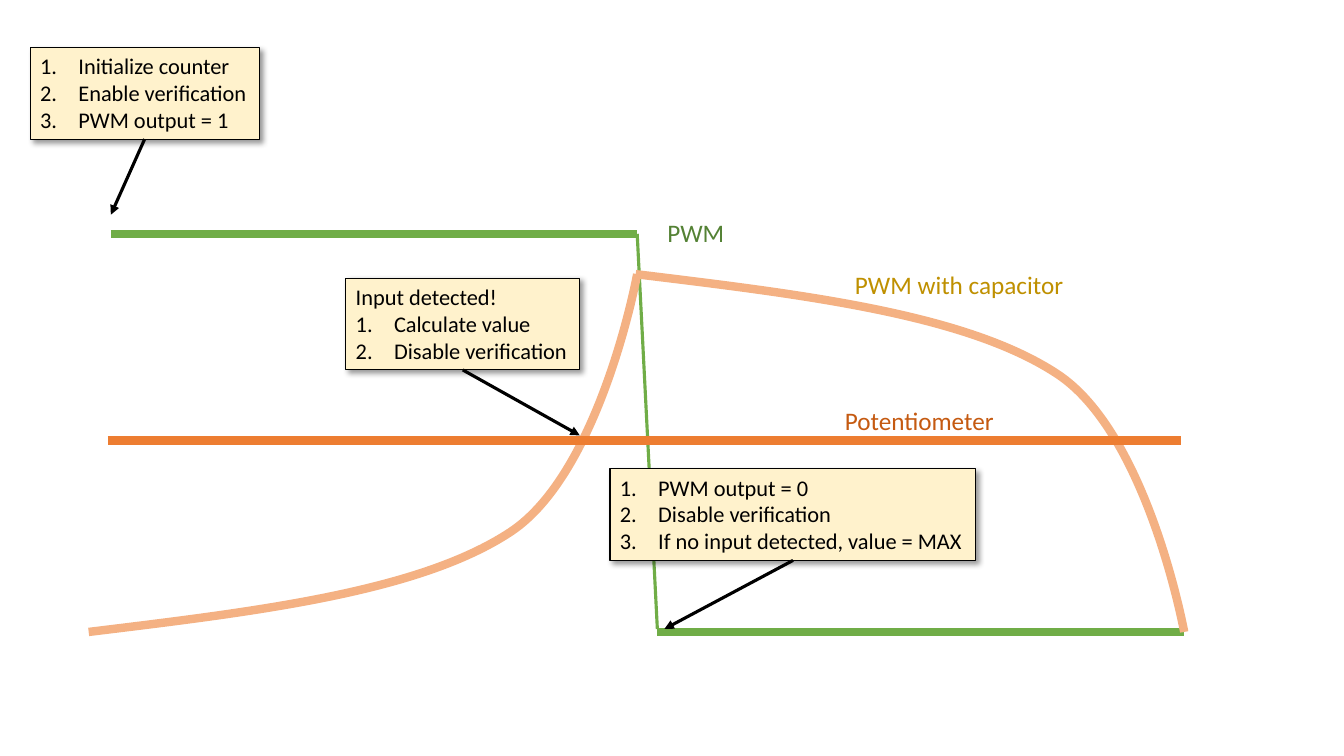
import pptx
import pptx.util
import pptx.dml.color
import pptx.enum.shapes
import pptx.enum.text
import pptx.oxml
import pptx.oxml.ns
import lxml.etree

deck = pptx.Presentation()
deck.slide_width = pptx.util.Inches(13.33)
deck.slide_height = pptx.util.Inches(7.5)
page = deck.slides.add_slide(deck.slide_layouts[6])
qn = pptx.oxml.ns.qn

# Positions are percentages of the slide's width and height
COLUMN = deck.slide_width / 100
ROW = deck.slide_height / 100
RISE, FALL, LOW_START, END = 8.25, 47.41, 48.91, 88.07
HIGH, PEAK, THRESHOLD, LOW = 30.93, 36.27, 58.27, 83.6
INDENT = pptx.util.Inches(0.38)


def color(hex_code):
    return pptx.dml.color.RGBColor.from_string(hex_code)


def add_line(x1, y1, x2, y2, hex_code, width):
    line = page.shapes.add_connector(
        pptx.enum.shapes.MSO_CONNECTOR.STRAIGHT,
        round(x1 * COLUMN), round(y1 * ROW), round(x2 * COLUMN), round(y2 * ROW))
    line.line.color.rgb = color(hex_code)
    line.line.width = pptx.util.Pt(width)
    lxml.etree.SubElement(line._element.spPr, qn("a:effectLst"))
    return line


# PWM signal: falling edge, high level, low level
add_line(FALL, HIGH, LOW_START, 83.2, "70AD47", 2.25)
add_line(RISE, HIGH, FALL, HIGH, "70AD47", 6)
add_line(LOW_START, LOW, END, LOW, "70AD47", 6)

# Capacitor charge, then discharge as its shifted vertical mirror
charge = [(6.6, LOW), (18.9, 80.93), (31.13, 78.4), (37.96, 70.4),
          (44.71, 62.53), (FALL, PEAK), (FALL, PEAK)]
discharge = [(x + 40.7, PEAK + LOW - y) for x, y in charge]
for points in (charge, discharge):
    corners = [(round(x * COLUMN), round(y * ROW)) for x, y in points]
    builder = page.shapes.build_freeform(*corners[0])
    builder.add_line_segments(corners[1:], close=False)
    curve = builder.convert_to_shape()
    curve.fill.background()
    curve.line.color.rgb = color("F4B183")
    curve.line.width = pptx.util.Pt(6)
    curve.shadow.inherit = False
    # Every three straight segments become one Bezier segment
    outline = curve._element.spPr.find(".//" + qn("a:path"))
    segments = outline.findall(qn("a:lnTo"))
    for first in range(0, len(segments), 3):
        bezier = lxml.etree.SubElement(outline, qn("a:cubicBezTo"))
        for segment in segments[first:first + 3]:
            bezier.append(segment[0])
            outline.remove(segment)

# Potentiometer threshold
add_line(8.03, THRESHOLD, 87.85, THRESHOLD, "ED7D31", 6)

# Signal labels
for text, left, top, width, hex_code in [
        ("PWM", LOW_START, 28.13, 5.78, "548235"),
        ("PWM with capacitor", 62.87, 34.93, 17.18, "BF9000"),
        ("Potentiometer", 62.12, 52.93, 12.75, "C55A11")]:
    label = page.shapes.add_textbox(
        round(left * COLUMN), round(top * ROW), round(width * COLUMN), round(5.33 * ROW))
    label.text_frame.word_wrap = False
    label.text_frame.auto_size = pptx.enum.text.MSO_AUTO_SIZE.SHAPE_TO_FIT_TEXT
    span = label.text_frame.paragraphs[0].add_run()
    span.text = text
    span.font.name = "Calibri"
    span.font.size = pptx.util.Pt(18)
    span.font.color.rgb = color(hex_code)

# Callouts: heading, numbered steps, place, width and arrow tip
SHADOW = (
    '<a:outerShdw xmlns:a="http://schemas.openxmlformats.org/drawingml/2006/main" '
    'blurRad="50800" dist="38100" dir="2700000" algn="tl" rotWithShape="0">'
    '<a:srgbClr val="000000"><a:alpha val="40000"/></a:srgbClr></a:outerShdw>')
callouts = [
    (None, ["Initialize counter", "Enable verification", "PWM output = 1"],
     2.25, 6.27, 17.03, (RISE, 28.4)),
    ("Input detected!", ["Calculate value", "Disable verification"],
     25.73, 36.8, 17.4, (43.14, 57.6)),
    (None, ["PWM output = 0", "Disable verification", "If no input detected, value = MAX"],
     45.39, 62, 27.23, (49.44, 83.2)),
]
for heading, steps, left, top, width, tip in callouts:
    box = page.shapes.add_shape(
        pptx.enum.shapes.MSO_SHAPE.RECTANGLE,
        round(left * COLUMN), round(top * ROW), round(width * COLUMN), round(12.13 * ROW))
    box.fill.solid()
    box.fill.fore_color.rgb = color("FFF2CC")
    box.line.color.rgb = color("000000")
    box.line.width = pptx.util.Pt(0.75)
    box.shadow.inherit = False
    box._element.spPr.find(qn("a:effectLst")).append(pptx.oxml.parse_xml(SHADOW))
    frame = box.text_frame
    frame.word_wrap = False
    frame.auto_size = pptx.enum.text.MSO_AUTO_SIZE.SHAPE_TO_FIT_TEXT
    frame.vertical_anchor = pptx.enum.text.MSO_ANCHOR.TOP

    lines = ([heading] if heading else []) + steps
    for index, text in enumerate(lines):
        para = frame.add_paragraph() if index else frame.paragraphs[0]
        para.alignment = pptx.enum.text.PP_ALIGN.LEFT
        if text != heading:
            settings = para._p.get_or_add_pPr()
            settings.set("marL", str(INDENT))
            settings.set("indent", str(-INDENT))
            lxml.etree.SubElement(settings, qn("a:buFont"), typeface="+mj-lt")
            lxml.etree.SubElement(settings, qn("a:buAutoNum"), type="arabicPeriod")
        span = para.add_run()
        span.text = text
        span.font.name = "Calibri"
        span.font.size = pptx.util.Pt(16)
        span.font.color.rgb = color("000000")

    arrow = add_line(left + width / 2, top + 12.13, *tip, "000000", 2.25)
    arrow.begin_connect(box, 2)
    lxml.etree.SubElement(arrow.line._get_or_add_ln(), qn("a:tailEnd"), type="triangle")

deck.save("out.pptx")
